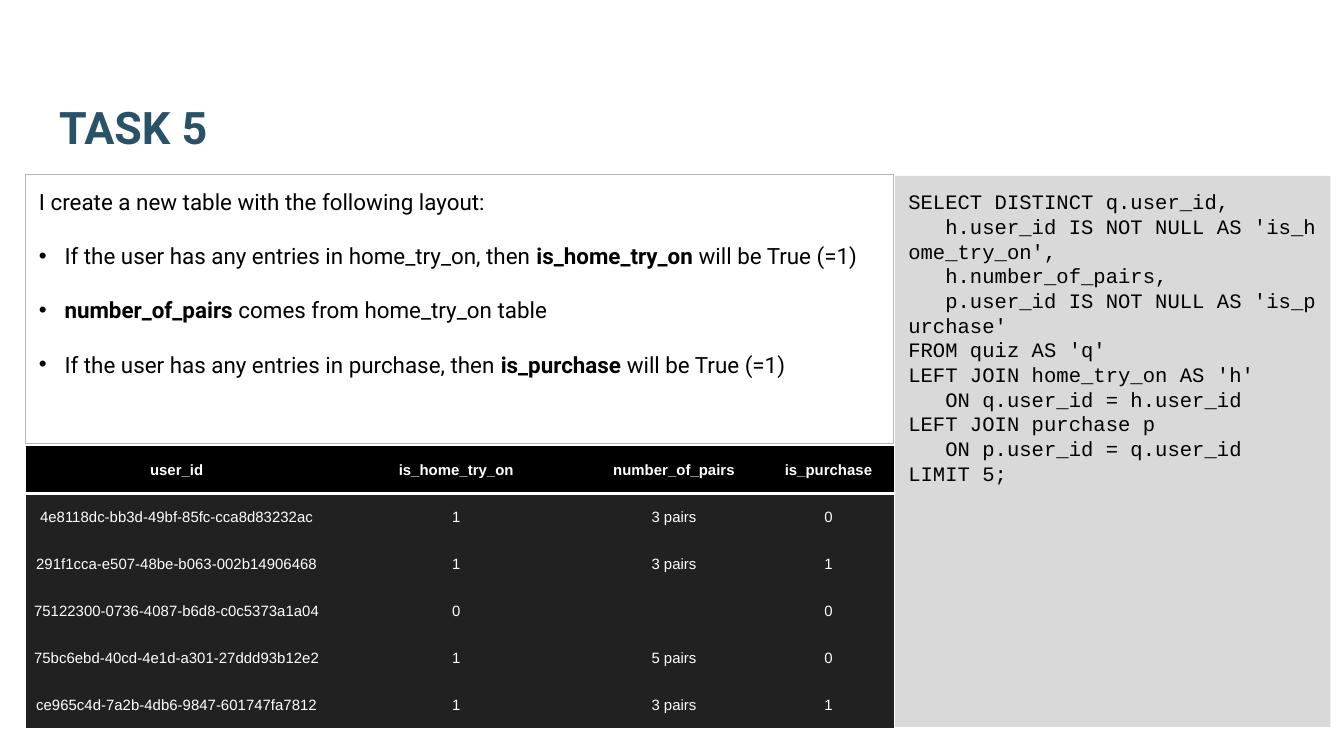
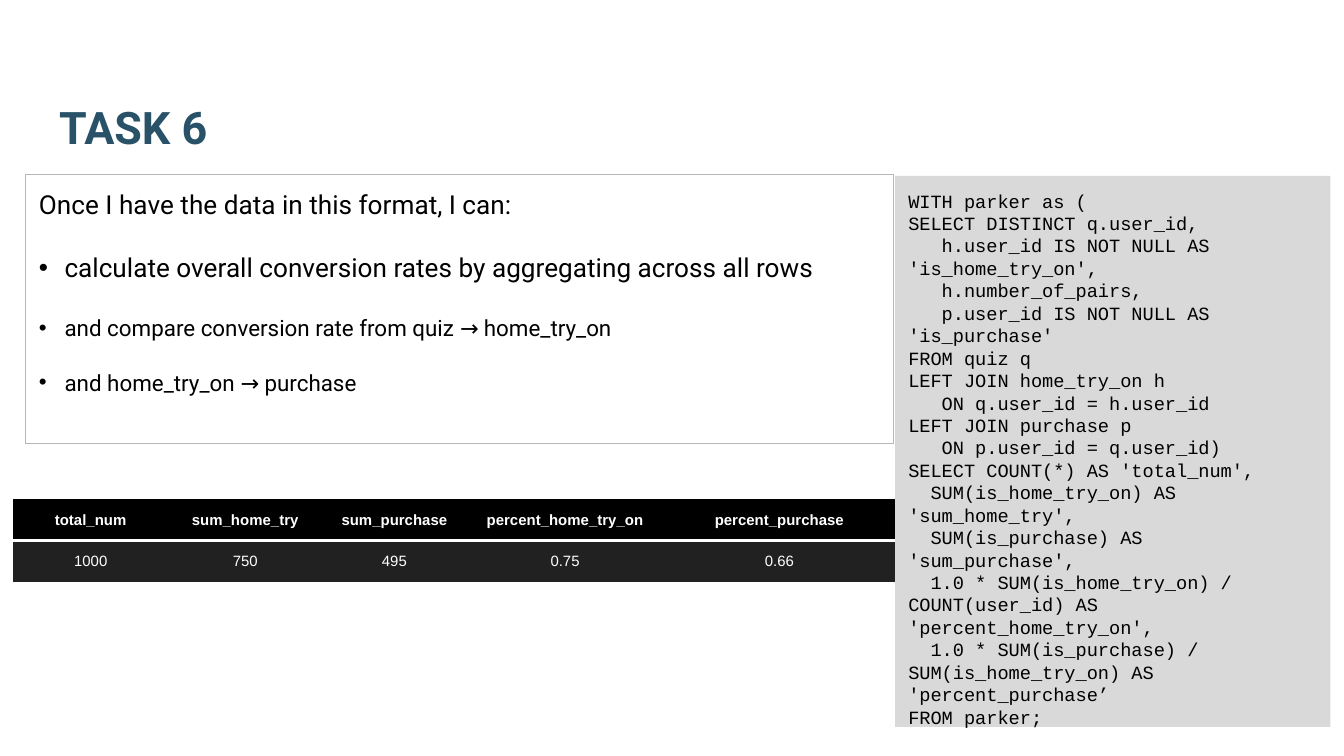
from lxml import etree
from pptx import Presentation
from pptx import util as u
from pptx.dml.color import RGBColor
from pptx.enum import shapes, text
from pptx.oxml.ns import qn

PX = 9144  # 100 px to the inch
HUES = {"title": "295269", "ink": "000000", "code": "D9D9D9", "edge": "B7B7B7",
        "head": "000000", "row": "212121", "white": "FFFFFF"}
SANS, MONO, CELL = "Roboto", "Courier New", "Arial"
PLAIN = "{2D5ABB26-0587-4C30-8999-92F81FD0307C}"  # table style without grid
HARD = chr(160)  # no-break space
GAP = 1.22  # space after a list line, as a share of its size

CODE5 = """SELECT DISTINCT q.user_id,
   h.user_id IS NOT NULL AS 'is_home_try_on',
   h.number_of_pairs,
   p.user_id IS NOT NULL AS 'is_purchase'
FROM quiz AS 'q'
LEFT JOIN home_try_on AS 'h'
   ON q.user_id = h.user_id
LEFT JOIN purchase p
   ON p.user_id = q.user_id
LIMIT 5;""".replace(" ", HARD)
for alias in ("'q'", "'h'"):
    CODE5 = CODE5.replace(HARD + alias, " " + alias)

CODE6 = """WITH parker as (
SELECT DISTINCT q.user_id,
   h.user_id IS NOT NULL AS 'is_home_try_on',
   h.number_of_pairs,
   p.user_id IS NOT NULL AS 'is_purchase'
FROM quiz q
LEFT JOIN home_try_on h
   ON q.user_id = h.user_id
LEFT JOIN purchase p
   ON p.user_id = q.user_id)
SELECT COUNT(*) AS 'total_num',
  SUM(is_home_try_on) AS 'sum_home_try',
  SUM(is_purchase) AS 'sum_purchase',
  1.0 * SUM(is_home_try_on) / COUNT(user_id) AS 'percent_home_try_on',
  1.0 * SUM(is_purchase) / SUM(is_home_try_on) AS 'percent_purchase’
FROM parker;"""

# Each line: size, then runs; a run in a tuple is bold.
LIST5 = [
    (12, "I create a new table with the following layout:"),
    (12, "If the user has any entries in home_try_on, then ",
     ("is_home_try_on ",), "will be True (=1)"),
    (12, ("number_of_pairs ",), "comes from home_try_on table"),
    (12, "If the user has any entries in purchase, then ",
     ("is_purchase",), " will be True (=1)"),
]
LIST6 = [
    (14, "Once I have the data in this format, I can:"),
    (14, "calculate overall conversion rates by aggregating across all rows"),
    (12, "and compare conversion rate from quiz → home_try_on"),
    (12, "and home_try_on → purchase"),
]
USERS = [
    ("user_id", "is_home_try_on", "number_of_pairs", "is_purchase"),
    ("4e8118dc-bb3d-49bf-85fc-cca8d83232ac", "1", "3 pairs", "0"),
    ("291f1cca-e507-48be-b063-002b14906468", "1", "3 pairs", "1"),
    ("75122300-0736-4087-b6d8-c0c5373a1a04", "0", "", "0"),
    ("75bc6ebd-40cd-4e1d-a301-27ddd93b12e2", "1", "5 pairs", "0"),
    ("ce965c4d-7a2b-4db6-9847-601747fa7812", "1", "3 pairs", "1"),
]
RATES = [
    ("total_num", "sum_home_try", "sum_purchase", "percent_home_try_on",
     "percent_purchase"),
    ("1000", "750", "495", "0.75", "0.66"),
]


def rgb(hue):
    return RGBColor.from_string(HUES[hue])


def paint(item, hue):
    item.fill.solid()
    item.fill.fore_color.rgb = rgb(hue)


def place(shape, left, top, width, height):
    shape.left, shape.top = left * PX, top * PX
    shape.width, shape.height = width * PX, height * PX


def frame(shape, anchor):
    """Give the text of a shape its insets, wrap and anchor."""
    box = shape.text_frame
    box.margin_left = box.margin_right = 10 * PX
    box.margin_top = box.margin_bottom = 10 * PX
    box.word_wrap = True
    box.auto_size = text.MSO_AUTO_SIZE.NONE
    box.vertical_anchor = anchor
    return box


def line(box, first):
    """Return the first paragraph of a frame, or a new one."""
    para = box.paragraphs[0] if first else box.add_paragraph()
    para.alignment = text.PP_ALIGN.LEFT
    para.space_before = u.Pt(0)
    return para


def add_run(para, words, font, size, hue="ink", bold=False):
    run = para.add_run()
    run.text = words
    run.font.name, run.font.size = font, u.Pt(size)
    run.font.bold, run.font.color.rgb = bold, rgb(hue)


def bullet(para, on):
    props = para._p.get_or_add_pPr()
    indent = 19 * PX if on else 0
    props.set("marL", str(indent))
    props.set("indent", str(-indent))
    if on:
        color = etree.SubElement(props, qn("a:buClr"))
        etree.SubElement(color, qn("a:srgbClr"), val=HUES["ink"])
        etree.SubElement(props, qn("a:buFont"), typeface=CELL)
        etree.SubElement(props, qn("a:buChar"), char="•")
    else:
        etree.SubElement(props, qn("a:buNone"))


def add_title(slide, words):
    title = slide.shapes.title
    place(title, 34, 32, 932, 92)
    box = frame(title, text.MSO_ANCHOR.BOTTOM)
    add_run(line(box, True), words, SANS, 24, "title", True)


def add_list(slide, lines):
    """Fill the framed body: a lead line, then bullets."""
    body = slide.placeholders[1]
    place(body, 19, 130, 646, 200)
    body.line.color.rgb = rgb("edge")
    body.line.width = u.Pt(0.75)
    box = frame(body, text.MSO_ANCHOR.TOP)
    for n, (size, *runs) in enumerate(lines):
        para = line(box, n == 0)
        para.space_after = u.Pt(size * GAP)
        bullet(para, n > 0)
        for part in runs:
            bold = isinstance(part, tuple)
            add_run(para, part[0] if bold else part, SANS, size, bold=bold)


def add_code(slide, code, size):
    area = [n * PX for n in (666, 131, 324, 410)]
    panel = slide.shapes.add_shape(shapes.MSO_SHAPE.RECTANGLE, *area)
    panel.shadow.inherit = False
    paint(panel, "code")
    panel.line.fill.background()
    box = frame(panel, text.MSO_ANCHOR.TOP)
    for n, words in enumerate(code.split("\n")):
        add_run(line(box, n == 0), words, MONO, size)


def rule(cell):
    """Draw the white line under a head cell."""
    edge = etree.Element(qn("a:lnB"), w=str(u.Pt(2)))
    fill = etree.SubElement(edge, qn("a:solidFill"))
    etree.SubElement(fill, qn("a:srgbClr"), val=HUES["white"])
    cell._tc.get_or_add_tcPr().insert(0, edge)


def add_grid(slide, rows, left, top, widths, height):
    area = [n * PX for n in (left, top, sum(widths), height * len(rows))]
    table = slide.shapes.add_table(len(rows), len(widths), *area).table
    table.first_row = table.horz_banding = False
    table._tbl.tblPr[0].text = PLAIN
    for column, width in zip(table.columns, widths):
        column.width = width * PX
    for r, row in enumerate(rows):
        table.rows[r].height = height * PX
        for c, words in enumerate(row):
            cell = table.cell(r, c)
            cell.margin_left = cell.margin_right = cell.margin_top = PX
            cell.margin_bottom = 0
            cell.vertical_anchor = text.MSO_ANCHOR.MIDDLE
            paint(cell, "row" if r else "head")
            if r == 0:
                rule(cell)
            if words:
                para = cell.text_frame.paragraphs[0]
                para.alignment = text.PP_ALIGN.CENTER
                add_run(para, words, CELL, 8, "white", r == 0)


def add_task(deck, title, lines, code, size):
    slide = deck.slides.add_slide(deck.slide_layouts[1])
    add_title(slide, title)
    add_code(slide, code, size)
    add_list(slide, lines)
    return slide


def main():
    deck = Presentation()
    deck.slide_width, deck.slide_height = u.Pt(720), u.Pt(405)
    task = add_task(deck, "TASK 5", LIST5, CODE5, 11)
    add_grid(task, USERS, 19, 332, (225, 191, 133, 97), 35)
    task = add_task(deck, "TASK 6", LIST6, CODE6, 10)
    add_grid(task, RATES, 10, 371, (115, 115, 107, 147, 172), 31)
    deck.save("out.pptx")


if __name__ == "__main__":
    main()
